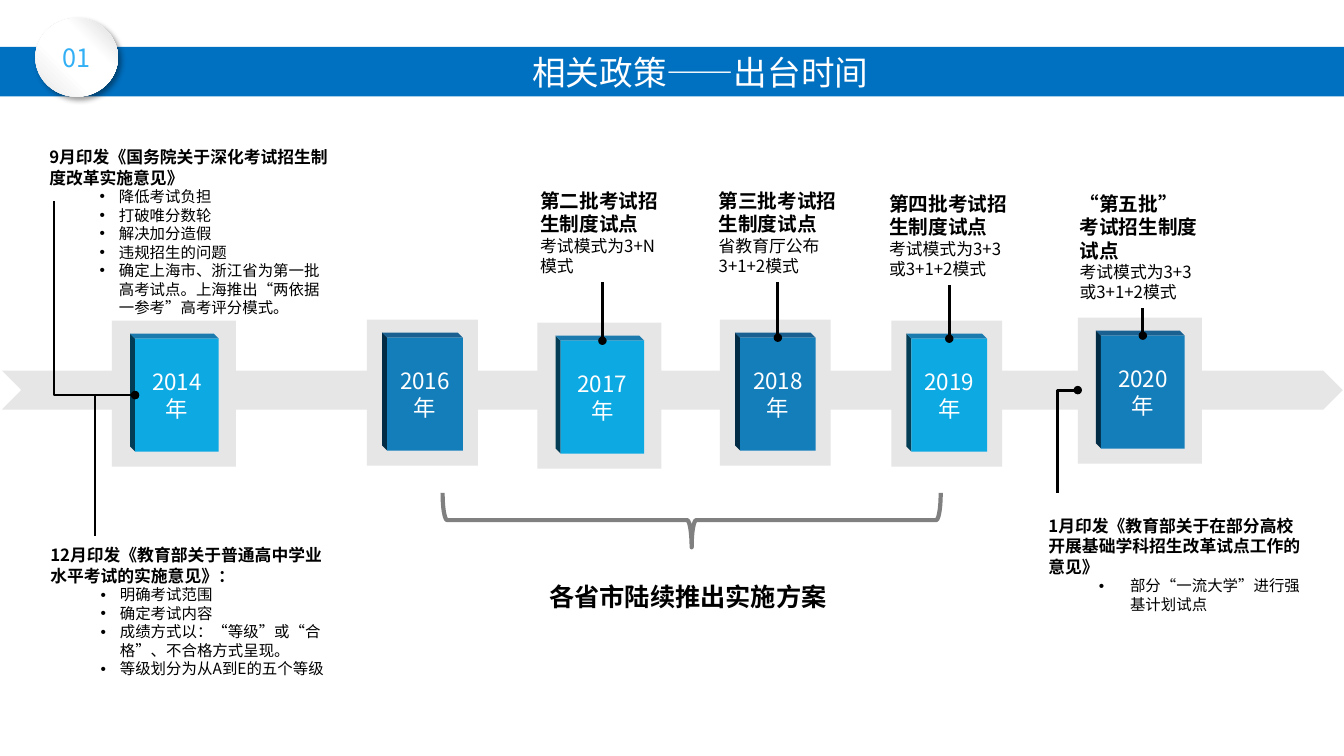
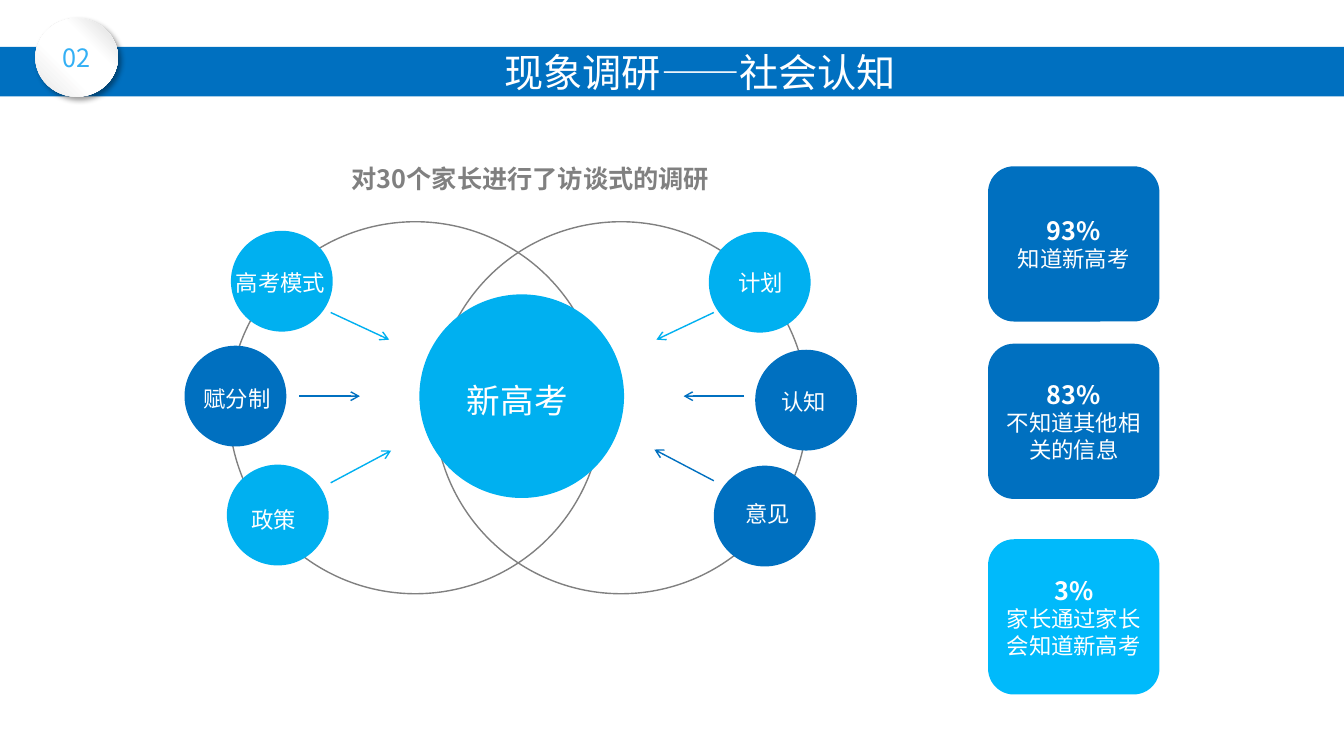
from lxml.etree import SubElement
from pptx import Presentation
from pptx.dml.color import RGBColor
from pptx.enum.shapes import MSO_CONNECTOR, MSO_SHAPE
from pptx.enum.text import MSO_ANCHOR, MSO_AUTO_SIZE, PP_ALIGN
from pptx.oxml.ns import qn
from pptx.util import Inches, Pt

FONT = "Noto Sans CJK SC"
COLORS = {
    "band": "0070C0", "sky": "00B0F0", "bright": "00BAFB", "number": "33B0F5",
    "panel": "E7E6E6", "grey": "808080", "white": "FFFFFF", "black": "000000",
    "light card": "0CA9E3", "light card top": "1B7BAE", "light card side": "033C55",
    "deep card": "147EBB", "deep card top": "1A6191", "deep card side": "022C45",
}
BADGE_STOPS = [(0, "E7E6E6"), (38, "FFFFFF"), (66, "FFFFFF"), (100, "D9D9D9")]

# year, panel left, panel top, panel width, card shade
MILESTONES = [
    ("2014年", 1.11, 3.18, 1.23, "light card"),
    ("2016年", 3.64, 3.17, 1.1, "deep card"),
    ("2017年", 5.33, 3.2, 1.23, "light card"),
    ("2018年", 7.14, 3.17, 1.1, "deep card"),
    ("2019年", 8.84, 3.18, 1.1, "light card"),
    ("2020年", 10.69, 3.15, 1.23, "deep card"),
]
# year, box, top of the pole, heading, exam mode
PILOTS = [
    ("2017年", (5.26, 1.82, 1.44, 0.98), 2.8, "第二批考试招生制度试点", "考试模式为3+N模式"),
    ("2018年", (7.03, 1.82, 1.39, 0.98), 2.8, "第三批考试招生制度试点", "省教育厅公布3+1+2模式"),
    ("2019年", (8.72, 1.85, 1.39, 0.98), 2.83, "第四批考试招生制度试点", "考试模式为3+3或3+1+2模式"),
    ("2020年", (10.61, 1.85, 1.39, 1.21), 3.06, "“第五批” 考试招生制度试点", "考试模式为3+3或3+1+2模式"),
]
# box, bullet indent, hanging, heading, bullets
POLICIES = [
    ((0.39, 1.41, 3.01, 2.41), 0.69, 0.19, "9月印发《国务院关于深化考试招生制度改革实施意见》",
     ["降低考试负担", "打破唯分数轮", "解决加分造假", "违规招生的问题",
      "确定上海市、浙江省为第一批高考试点。上海推出“两依据一参考”高考评分模式。"]),
    ((0.4, 5.36, 3.01, 2.1), 0.69, 0.19, "12月印发《教育部关于普通高中学业水平考试的实施意见》：",
     ["明确考试范围", "确定考试内容", "成绩方式以：“等级”或“合格”、不合格方式呈现。",
      "等级划分为从A到E的五个等级"]),
    ((10.3, 5.07, 2.78, 1.51), 0.81, 0.31,
     "1月印发《教育部关于在部分高校开展基础学科招生改革试点工作的意见》",
     ["部分“一流大学”进行强基计划试点"]),
]
# start, end, width
POLICY_LINES = [
    ((1.34, 3.92), (0.54, 1.99), 1.5),
    ((1.34, 3.92), (0.94, 5.32), 1.5),
    ((10.69, 3.87), (10.49, 4.89), 2),
]

# label, circle left and top, colour, label box
TOPICS = [
    ("高考模式", 2.29, 2.29, "sky", (2.19, 2.59, 1.2, 0.42)),
    ("计划", 7.03, 2.3, "sky", (7.17, 2.59, 0.75, 0.42)),
    ("认知", 7.49, 3.47, "band", (7.6, 3.77, 0.75, 0.42)),
    ("意见", 7.08, 4.62, "band", (7.24, 4.88, 0.75, 0.42)),
    ("赋分制", 1.83, 3.43, "band", (1.87, 3.74, 0.98, 0.42)),
    ("政策", 2.25, 4.61, "sky", (2.34, 4.94, 0.75, 0.42)),
]
TOPIC_ARROWS = [
    ((3.28, 3.1), (3.86, 3.37), "sky"), ((2.97, 3.93), (3.57, 3.93), "band"),
    ((3.28, 4.79), (3.88, 4.47), "sky"), ((7.08, 4.77), (6.49, 4.46), "band"),
    ((7.38, 3.93), (6.78, 3.93), "band"), ((7.08, 3.1), (6.51, 3.37), "sky"),
]
FINDINGS = [
    ("93%", "知道新高考", 1.65, "band"),
    ("83%", "不知道其他相关的信息", 3.41, "band"),
    ("3%", "家长通过家长会知道新高考", 5.35, "bright"),
]


def rgb(name):
    return RGBColor.from_string(COLORS[name])


def inches(values):
    return [Inches(value) for value in values]


def add_run(paragraph, text, size, color, bold=False):
    run = paragraph.add_run()
    run.text = text
    run.font.size, run.font.bold, run.font.name = Pt(size), bold, FONT
    run.font.color.rgb = rgb(color)
    SubElement(run.font._element, qn("a:ea"), typeface=FONT)


def write(frame, lines, color, align=PP_ALIGN.LEFT):
    """Fill a text frame with (text, size, bold) lines; return the paragraphs."""
    frame.word_wrap = True
    for index, (text, size, bold) in enumerate(lines):
        paragraph = frame.add_paragraph() if index else frame.paragraphs[0]
        paragraph.alignment = align
        add_run(paragraph, text, size, color, bold)
    return frame.paragraphs


def style(shape, fill=None, line=None, width=1):
    shape.shadow.inherit = False
    if fill:
        shape.fill.solid()
        shape.fill.fore_color.rgb = rgb(fill)
    else:
        shape.fill.background()
    if line:
        shape.line.color.rgb = rgb(line)
        shape.line.width = Pt(width)
    else:
        shape.line.fill.background()


def add_figure(slide, kind, box, fill=None, line=None, width=1, lines=()):
    figure = slide.shapes.add_shape(kind, *inches(box))
    style(figure, fill, line, width)
    if lines:
        figure.text_frame.vertical_anchor = MSO_ANCHOR.MIDDLE
        write(figure.text_frame, lines, "white", PP_ALIGN.CENTER)
    return figure


def add_text(slide, box, lines, color="black"):
    frame = slide.shapes.add_textbox(*inches(box)).text_frame
    write(frame, lines, color)
    frame.auto_size = MSO_AUTO_SIZE.SHAPE_TO_FIT_TEXT
    return frame


def add_label(slide, box, text, size):
    """White one-line label with wide margins."""
    frame = add_text(slide, box, [(text, size, False)], "white")
    frame.word_wrap = False
    frame.margin_left = frame.margin_right = Inches(0.15)
    frame.margin_top = frame.margin_bottom = Inches(0.08)


def add_line(slide, start, end, color, width, tip, tip_type, bent=False):
    kind = MSO_CONNECTOR.ELBOW if bent else MSO_CONNECTOR.STRAIGHT
    line = slide.shapes.add_connector(kind, *inches(start + end))
    line.line.color.rgb = rgb(color)
    line.line.width = Pt(width)
    properties = line._element.spPr
    if bent:
        properties.find(qn("a:prstGeom")).set("prst", "bentConnector2")
    SubElement(properties.find(qn("a:ln")), qn(tip), type=tip_type)
    SubElement(properties, qn("a:effectLst"))
    return line


def add_header(slide, number, title, size):
    add_figure(slide, MSO_SHAPE.ROUNDED_RECTANGLE, (-0.6, 0.465, 15.09, 0.49), "band",
               lines=[(title, size, False)])
    badge = add_figure(slide, MSO_SHAPE.OVAL, (0.35, 0.18, 0.82, 0.78))
    badge.text_frame.vertical_anchor = MSO_ANCHOR.MIDDLE
    write(badge.text_frame, [(number, 18, False)], "number", PP_ALIGN.CENTER)
    badge.fill.gradient()
    badge.fill.gradient_angle = 45
    properties = badge._element.spPr
    stops = properties.find(qn("a:gradFill")).find(qn("a:gsLst"))
    for stop in list(stops):
        stops.remove(stop)
    for position, color in BADGE_STOPS:
        stop = SubElement(stops, qn("a:gs"), pos=str(position * 1000))
        SubElement(stop, qn("a:srgbClr"), val=color)
    shadow = SubElement(properties.find(qn("a:effectLst")), qn("a:outerShdw"),
                        blurRad=str(Pt(4)), dist=str(Pt(3)), dir=str(45 * 60000),
                        algn="tl", rotWithShape="0")
    shade = SubElement(shadow, qn("a:srgbClr"), val=COLORS["black"])
    SubElement(shade, qn("a:alpha"), val="40000")


def add_facet(slide, corners, fill):
    points = [tuple(inches(corner)) for corner in corners]
    builder = slide.shapes.build_freeform(*points[0])
    builder.add_line_segments(points[1:])
    style(builder.convert_to_shape(), fill)


def add_milestone(slide, year, left, top, width, shade):
    """Year card with raised top and left edges, on a grey panel."""
    add_figure(slide, MSO_SHAPE.RECTANGLE, (left, top, width, 1.45), "panel")
    card_width, height, depth = (0.83 if width > 1.2 else 0.75), 1.12, 0.05
    x, y = left + (0.23 if width > 1.2 else 0.2), top + 0.18
    right, bottom = x + card_width, y + height
    back_x, back_y = x - depth, y - depth
    add_facet(slide, [(x, y), (back_x, back_y), (back_x, bottom - depth), (x, bottom)],
              shade + " side")
    add_facet(slide, [(x, y), (back_x, back_y), (right - depth, back_y), (right, y)],
              shade + " top")
    return add_figure(slide, MSO_SHAPE.RECTANGLE, (x, y, card_width, height), shade,
                      lines=[(year, 16, False)])


def add_policy(slide, box, indent, hanging, heading, bullets):
    lines = [(heading, 12, True)] + [(bullet, 11, False) for bullet in bullets]
    for paragraph in add_text(slide, box, lines).paragraphs[1:]:
        paragraph.level = 1
        properties = paragraph._p.get_or_add_pPr()
        properties.set("marL", str(Inches(indent)))
        properties.set("indent", str(-Inches(hanging)))
        SubElement(properties, qn("a:buFont"), typeface="Arial")
        SubElement(properties, qn("a:buChar"), char="•")


def build_timeline(slide):
    add_figure(slide, MSO_SHAPE.CHEVRON, (0, 3.67, 13.33, 0.4), "panel", "white")
    cards = {milestone[0]: add_milestone(slide, *milestone) for milestone in MILESTONES}
    add_header(slide, "01", "相关政策——出台时间", 24)
    for policy in POLICIES:
        add_policy(slide, *policy)
    for start, end, width in POLICY_LINES:
        add_line(slide, start, end, "black", width, "a:headEnd", "oval", bent=True)
    for year, box, pole_top, heading, mode in PILOTS:
        add_text(slide, box, [(heading, 14, True), (mode, 12, False)])
        card = cards[year]
        x = (card.left + card.width / 2) / Inches(1)
        pole = add_line(slide, (x, card.top / Inches(1)), (x, pole_top),
                        "black", 2, "a:headEnd", "oval")
        pole.begin_connect(card, 0)
    brace = add_figure(slide, MSO_SHAPE.LEFT_BRACE, (6.59, 2.69, 0.54, 4.94),
                       line="grey", width=3)
    brace.rotation = 270
    add_text(slide, (5.35, 5.72, 3.01, 0.4), [("各省市陆续推出实施方案", 18, True)])


def build_survey(slide):
    add_header(slide, "02", "现象调研——社会认知", 28)
    for left in (2.27, 4.31):
        add_figure(slide, MSO_SHAPE.OVAL, (left, 2.2, 3.7, 3.69), line="grey")
    for start, end, color in TOPIC_ARROWS:
        add_line(slide, start, end, color, 1, "a:tailEnd", "arrow")
    for label, left, top, color, label_box in TOPICS:
        add_figure(slide, MSO_SHAPE.OVAL, (left, top, 1.01, 1), color)
        add_label(slide, label_box, label, 16)
    add_figure(slide, MSO_SHAPE.OVAL, (4.16, 2.92, 2.03, 2.02), "sky")
    add_label(slide, (4.48, 3.69, 1.31, 0.56), "新高考", 24)
    add_text(slide, (3.39, 1.57, 3.8, 0.4), [("对30个家长进行了访谈式的调研", 18, True)], "grey")
    for share, finding, top, color in FINDINGS:
        add_figure(slide, MSO_SHAPE.ROUNDED_RECTANGLE, (9.8, top, 1.7, 1.54), color,
                   lines=[(share, 18, True), (finding, 16, False)])


def main():
    deck = Presentation()
    deck.slide_width, deck.slide_height = Inches(13.33), Inches(7.5)
    for build in (build_timeline, build_survey):
        build(deck.slides.add_slide(deck.slide_layouts[6]))
    deck.save("out.pptx")


if __name__ == "__main__":
    main()
